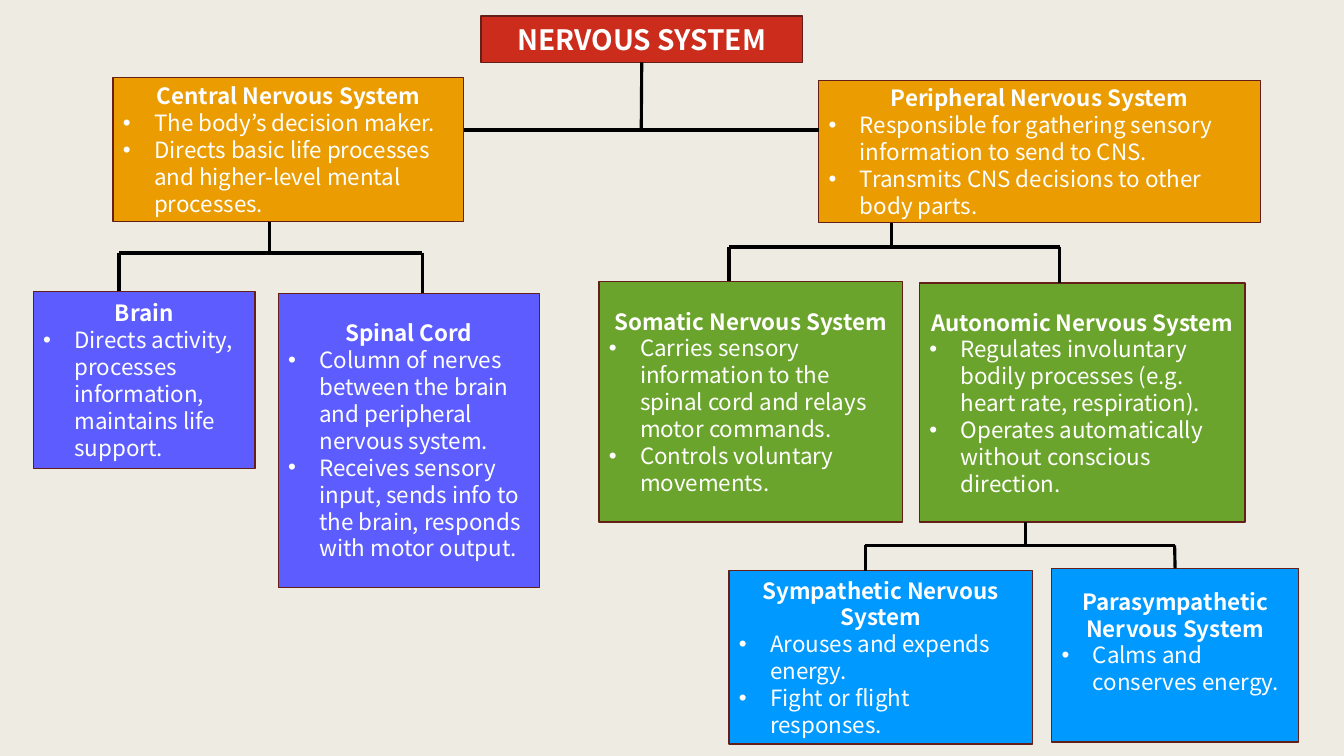
"""Build a slide that charts the divisions of the nervous system."""
from lxml.etree import SubElement
from pptx import Presentation
from pptx.dml.color import RGBColor
from pptx.enum.shapes import MSO_CONNECTOR as Connector, MSO_SHAPE as Shape
from pptx.enum.text import MSO_ANCHOR as Anchor, MSO_AUTO_SIZE as AutoSize, PP_ALIGN as Align
from pptx.oxml.ns import qn
from pptx.util import Inches, Pt

FONT = "Noto Sans CJK JP"
COLORS = {
    "background": "EEEBE2", "border": "642018", "line": "000000", "text": "FFFFFF",
    "root": "CB2C1B", "division": "EA9C00", "central": "5D5DFF",
    "peripheral": "6BA42C", "autonomic": "0099FF",
}
ROOT = "NERVOUS SYSTEM"
ROOT_PLACE = (4.77, 0.16, 3.19, 0.46)
BULLET_INDENT = 0.31
SNAP = 0.02

BOXES = [
    ("Peripheral Nervous System", "division", (8.12, 0.8, 4.38, 1.41),
     ["Responsible for gathering sensory information to send to CNS.",
      "Transmits CNS decisions to other body parts."]),
    ("Central Nervous System", "division", (1.12, 0.77, 3.48, 1.43),
     ["The body’s decision maker.",
      "Directs basic life processes and higher-level mental processes."]),
    ("Autonomic Nervous System", "peripheral", (9.12, 2.81, 3.23, 2.37),
     ["Regulates involuntary bodily processes (e.g. heart rate, respiration).",
      "Operates automatically without conscious direction."]),
    ("Somatic Nervous System", "peripheral", (5.94, 2.79, 3.01, 2.39),
     ["Carries sensory information to the spinal cord and relays motor commands.",
      "Controls voluntary movements."]),
    ("Spinal Cord", "central", (2.76, 2.91, 2.59, 2.92),
     ["Column of nerves between the brain and peripheral nervous system.",
      "Receives sensory input, sends info to the brain, responds with motor output."]),
    ("Brain", "central", (0.33, 2.89, 2.2, 1.76),
     ["Directs activity, processes information, maintains life support."]),
    ("Parasympathetic Nervous System", "autonomic", (10.43, 5.64, 2.45, 1.72),
     ["Calms and conserves energy."]),
    ("Sympathetic Nervous System", "autonomic", (7.23, 5.66, 3.01, 1.72),
     ["Arouses and expends energy.", "Fight or flight responses."]),
]
BOTTOM_INSETS = {"Parasympathetic Nervous System": 0.32}

# parent, stem x, bar y, bar ends, children
BRANCHES = [
    ("Central Nervous System", 2.67, 2.51, (1.18, 4.19), ("Brain", "Spinal Cord")),
    (ROOT, 6.36, 1.29, (4.6, 8.12), ()),
    ("Peripheral Nervous System", 8.84, 2.45, (7.23, 10.51),
     ("Somatic Nervous System", "Autonomic Nervous System")),
    ("Autonomic Nervous System", 10.17, 5.41, (8.58, 11.65),
     ("Sympathetic Nervous System", "Parasympathetic Nervous System")),
]


def color(name):
    return RGBColor.from_string(COLORS[name])


def style_box(shape, place, fill):
    shape.left, shape.top, shape.width, shape.height = map(Inches, place)
    shape.fill.solid()
    shape.fill.fore_color.rgb = color(fill)
    shape.line.color.rgb = color("border")
    shape.line.width = Pt(1)
    frame = shape.text_frame
    frame.word_wrap = True
    frame.auto_size = AutoSize.NONE
    frame.vertical_anchor = Anchor.MIDDLE


def style_text(paragraph, size, bold, align):
    paragraph.alignment = align
    for run in paragraph.runs:
        run.font.name = FONT
        run.font.size = Pt(size)
        run.font.bold = bold
        run.font.color.rgb = color("text")


def add_bullet(paragraph):
    properties = paragraph._p.get_or_add_pPr()
    properties.set("marL", str(Inches(BULLET_INDENT)))
    properties.set("indent", str(-Inches(BULLET_INDENT)))
    SubElement(properties, qn("a:buFont")).set("typeface", "Arial")
    SubElement(properties, qn("a:buChar")).set("char", "•")


def add_box(slide, heading, fill, place, points):
    shape = slide.shapes.add_shape(Shape.RECTANGLE, *map(Inches, place))
    shape.shadow.inherit = False
    style_box(shape, place, fill)
    frame = shape.text_frame
    frame.margin_bottom = Inches(BOTTOM_INSETS.get(heading, 0.05))
    frame.text = heading
    style_text(frame.paragraphs[0], 16, True, Align.CENTER)
    for point in points:
        paragraph = frame.add_paragraph()
        paragraph.text = point
        add_bullet(paragraph)
        style_text(paragraph, 16, False, Align.LEFT)
    return shape


def add_line(slide, start, end):
    line = slide.shapes.add_connector(Connector.STRAIGHT, *map(Inches, start + end))
    line.line.color.rgb = color("line")
    line.line.width = Pt(2.25)
    SubElement(line._element.spPr, qn("a:effectLst"))
    return line


def is_middle(shape, x):
    return abs(shape.left + shape.width / 2 - Inches(x)) < Inches(SNAP)


def add_branch(slide, shapes, parent_name, stem_x, bar_y, ends, children):
    parent = shapes[parent_name]
    bottom = (parent.top + parent.height) / Inches(1)
    stem = add_line(slide, (stem_x, bottom), (stem_x, bar_y))
    if is_middle(parent, stem_x):
        stem.begin_connect(parent, 2)
    add_line(slide, (ends[0], bar_y), (ends[1], bar_y))
    for x, child_name in zip(ends, children):
        child = shapes[child_name]
        drop = add_line(slide, (x, bar_y), (x, child.top / Inches(1)))
        if is_middle(child, x):
            drop.end_connect(child, 0)


def main():
    presentation = Presentation()
    presentation.slide_width, presentation.slide_height = Inches(13.33), Inches(7.5)
    slide = presentation.slides.add_slide(presentation.slide_layouts[5])
    slide.background.fill.solid()
    slide.background.fill.fore_color.rgb = color("background")

    title = slide.shapes.title
    style_box(title, ROOT_PLACE, "root")
    title.text_frame.text = ROOT
    style_text(title.text_frame.paragraphs[0], 20, True, Align.CENTER)

    shapes = {ROOT: title}
    for box in BOXES:
        shapes[box[0]] = add_box(slide, *box)
    for branch in BRANCHES:
        add_branch(slide, shapes, *branch)
    presentation.save("out.pptx")


if __name__ == "__main__":
    main()
